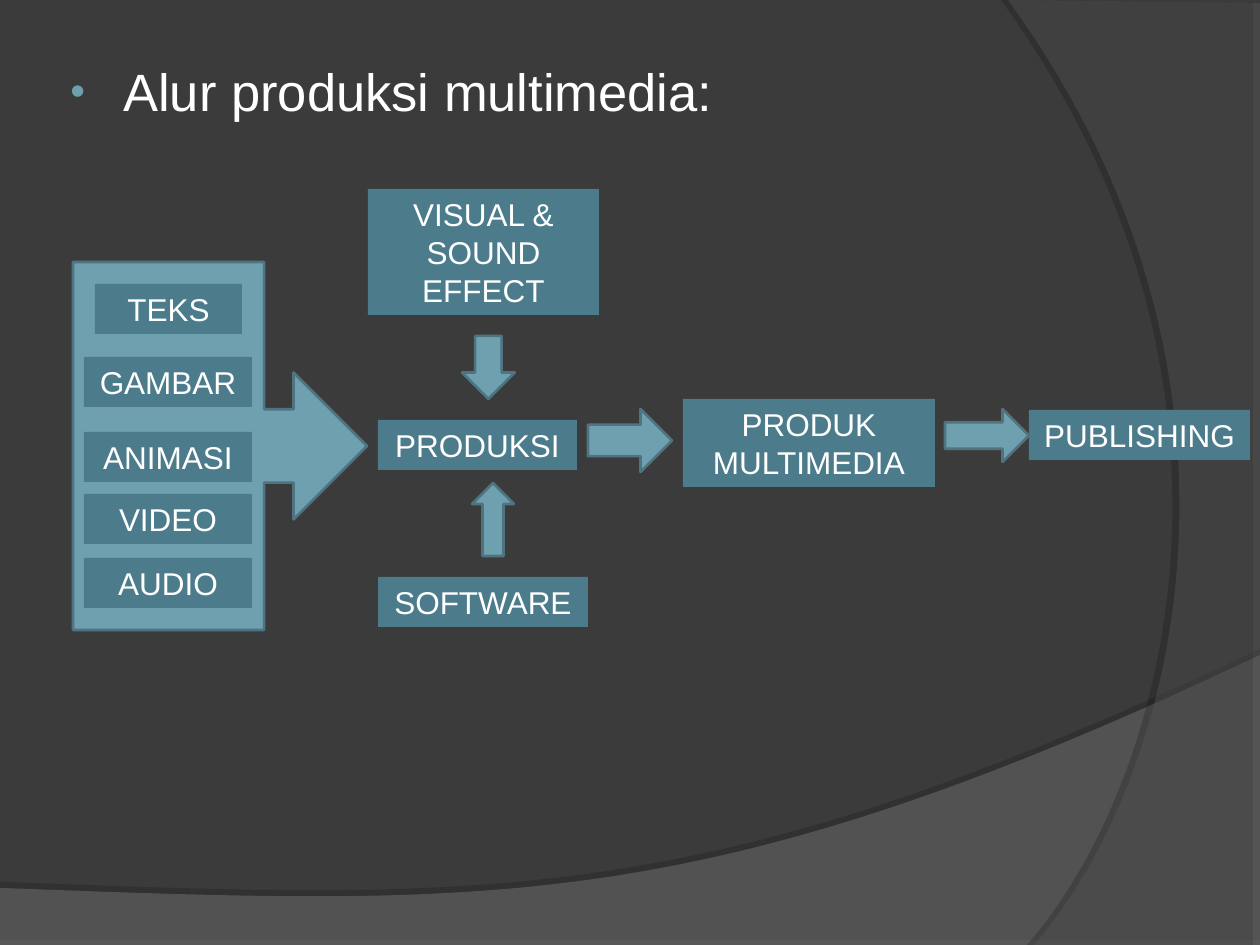
from lxml.etree import SubElement
from pptx import Presentation
from pptx.dml.color import RGBColor
from pptx.enum.shapes import MSO_SHAPE
from pptx.enum.text import MSO_ANCHOR, PP_ALIGN
from pptx.oxml.ns import qn
from pptx.util import Emu, Pt

PX = 914400 / 126
COLORS = {
    "background": "3B3B3B", "wave": "7C7C7C", "side": "595959", "shadow": "000000",
    "label": "4C7C8B", "arrow": "6EA0B0", "outline": "4F7480", "text": "FFFFFF",
}
LABEL_HEIGHT = 50


def px(value):
    return Emu(round(value * PX))


def place(box, left, top, width, height):
    return [px(v) for v in (box[0] + left, box[1] + top, width, height)]


def add_node(parent, tag, **attributes):
    return SubElement(parent, qn(tag), {k: str(v) for k, v in attributes.items()})


def paint(shape, color):
    shape.shadow.inherit = False
    shape.fill.solid()
    shape.fill.fore_color.rgb = RGBColor.from_string(COLORS[color])


def write(paragraph, text, size):
    span = paragraph.add_run()
    span.text = text
    for name, value in {"name": "Arial", "size": Pt(size)}.items():
        setattr(span.font, name, value)
    span.font.color.rgb = RGBColor.from_string(COLORS["text"])


def add_label(page, box, text, left, top, width, height=LABEL_HEIGHT):
    label = page.shapes.add_shape(MSO_SHAPE.RECTANGLE, *place(box, left, top, width, height))
    paint(label, "label")
    label.line.fill.background()
    frame = label.text_frame
    frame.word_wrap = True
    frame.vertical_anchor = MSO_ANCHOR.TOP
    frame.paragraphs[0].alignment = PP_ALIGN.CENTER
    write(frame.paragraphs[0], text, 18)


def add_arrow(page, box, kind, left, top, width, height):
    arrow = page.shapes.add_shape(kind, *place(box, left, top, width, height))
    paint(arrow, "arrow")
    arrow.line.color.rgb = RGBColor.from_string(COLORS["outline"])
    arrow.line.width = Pt(1.5)
    return arrow


def curve(start, first, second, end, steps=60):
    """Points along a cubic curve, without its start."""
    for step in range(1, steps + 1):
        t = step / steps
        weights = ((1 - t) ** 3, 3 * t * (1 - t) ** 2, 3 * t * t * (1 - t), t ** 3)
        yield tuple(sum(w * p[axis] for w, p in zip(weights, (start, first, second, end)))
                    for axis in (0, 1))


def add_sweep(page, box, corners, bend, color, opacity, shade):
    """Translucent area whose last corner starts a curved edge with a hard shadow."""
    points = [*corners, *curve(corners[-1], *bend)]
    points = [(round((box[0] + x) * PX), round((box[1] + y) * PX)) for x, y in points]
    builder = page.shapes.build_freeform(*points[0])
    builder.add_line_segments(points[1:], close=True)
    sweep = builder.convert_to_shape()
    paint(sweep, color)
    sweep.line.fill.background()
    properties = sweep._element.spPr
    fill_color = properties.find(qn("a:solidFill"))[0]
    add_node(fill_color, "a:alpha", val=opacity * 1000)
    distance, angle, strength = shade
    shadow = add_node(properties.find(qn("a:effectLst")), "a:outerShdw", blurRad=0,
                      dist=Pt(distance), dir=angle * 60000, algn="ctr", rotWithShape=0)
    shadow_color = add_node(shadow, "a:srgbClr", val=COLORS["shadow"])
    add_node(shadow_color, "a:alpha", val=strength * 1000)


def draw_background(page, box):
    page.background.fill.solid()
    page.background.fill.fore_color.rgb = RGBColor.from_string(COLORS["background"])
    # Bottom wave, then the arc on the right
    add_sweep(page, box, [(0, 888), (0, 946), (1260, 946), (1260, 655)],
              [(704, 919), (493, 906), (0, 888)], "wave", 45, (3.5, 270, 35))
    add_sweep(page, box, [(1260, 3), (1260, 945), (1034, 945)],
              [(1178, 780), (1283, 378), (1008, 0)], "side", 40, (4, 180, 45))


def draw_heading(page, box):
    frame = page.shapes.add_textbox(*place(box, 0, 0, *box[2:])).text_frame
    frame.word_wrap = True
    para = frame.paragraphs[0]
    para.space_before = Pt(7.5)
    write(para, "Alur produksi multimedia:", 30)
    # Bullet with hanging indent
    properties = para._p.get_or_add_pPr()
    for name, value in {"marL": px(58), "indent": px(-53)}.items():
        properties.set(name, str(value))
    add_node(add_node(properties, "a:buClr"), "a:srgbClr", val=COLORS["arrow"])
    add_node(properties, "a:buSzPct", val=80000)
    add_node(properties, "a:buFont", typeface="Arial")
    add_node(properties, "a:buChar", char="•")


def draw_media(page, box):
    callout = add_arrow(page, box, MSO_SHAPE.RIGHT_ARROW_CALLOUT, 0, 0, *box[2:])
    for index, value in enumerate((0.25, 0.25, 0.25, 0.65)):
        callout.adjustments[index] = value
    add_label(page, box, "TEKS", 22, 22, 147)
    for text, top in (("GAMBAR", 95), ("ANIMASI", 170), ("VIDEO", 232), ("AUDIO", 296)):
        add_label(page, box, text, 11, top, 168)


def draw_production(page, box):
    # Steps
    for step in (
        ("VISUAL & SOUND EFFECT", 0, 0, 231, 126),
        ("PRODUKSI", 10, 231, 199),
        ("SOFTWARE", 10, 388, 210),
        ("PRODUK MULTIMEDIA", 315, 210, 252, 88),
        ("PUBLISHING", 661, 221, 221),
    ):
        add_label(page, box, *step)
    # Block arrows between the steps
    for arrow in (
        (MSO_SHAPE.DOWN_ARROW, 94, 147, 53, 63),
        (MSO_SHAPE.UP_ARROW, 104, 294, 42, 73),
        (MSO_SHAPE.RIGHT_ARROW, 220, 220, 84, 63),
        (MSO_SHAPE.RIGHT_ARROW, 577, 220, 84, 53),
    ):
        add_arrow(page, box, *arrow)


def main():
    deck = Presentation()
    deck.slide_width, deck.slide_height = px(1260), px(945)
    page = deck.slides.add_slide(deck.slide_layouts[6])
    draw_background(page, (0, 0, 1260, 945))
    draw_heading(page, (53, 53, 1102, 95))
    draw_media(page, (73, 262, 294, 368))
    draw_production(page, (368, 189, 882, 438))
    deck.save("out.pptx")


if __name__ == "__main__":
    main()
